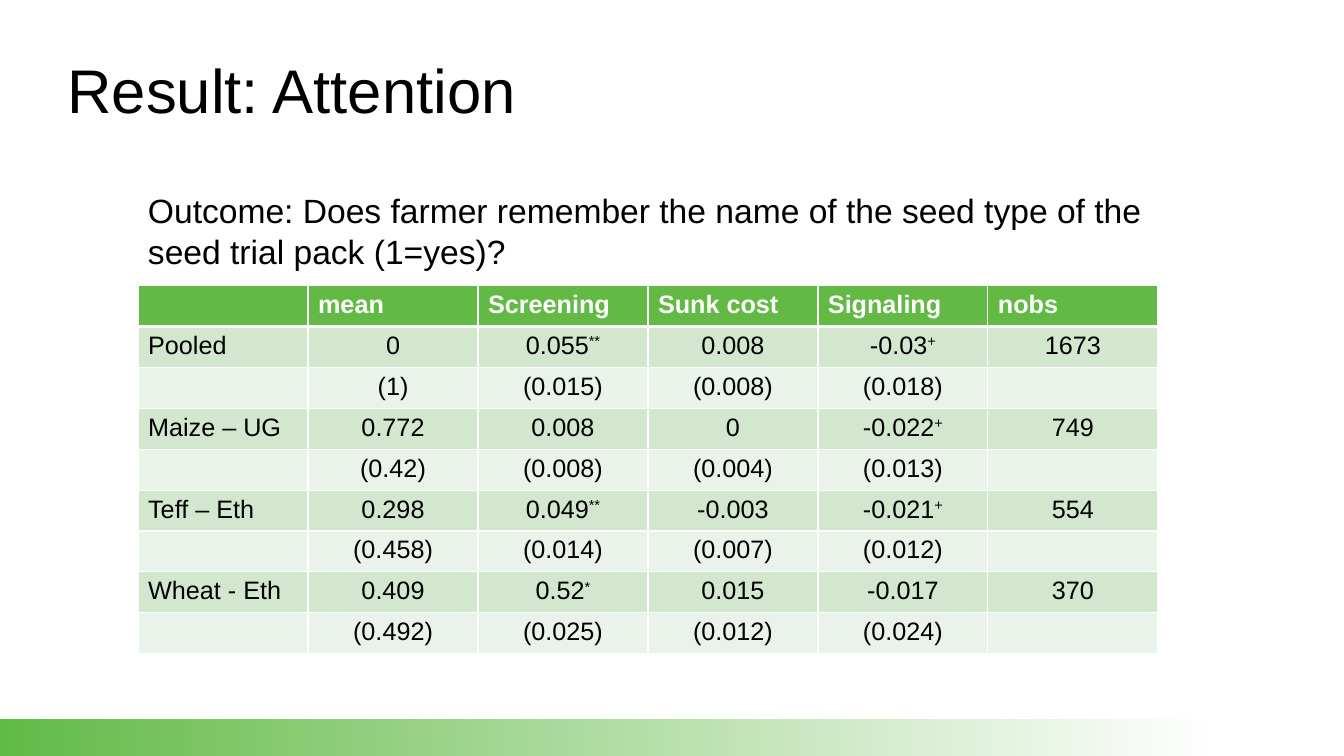
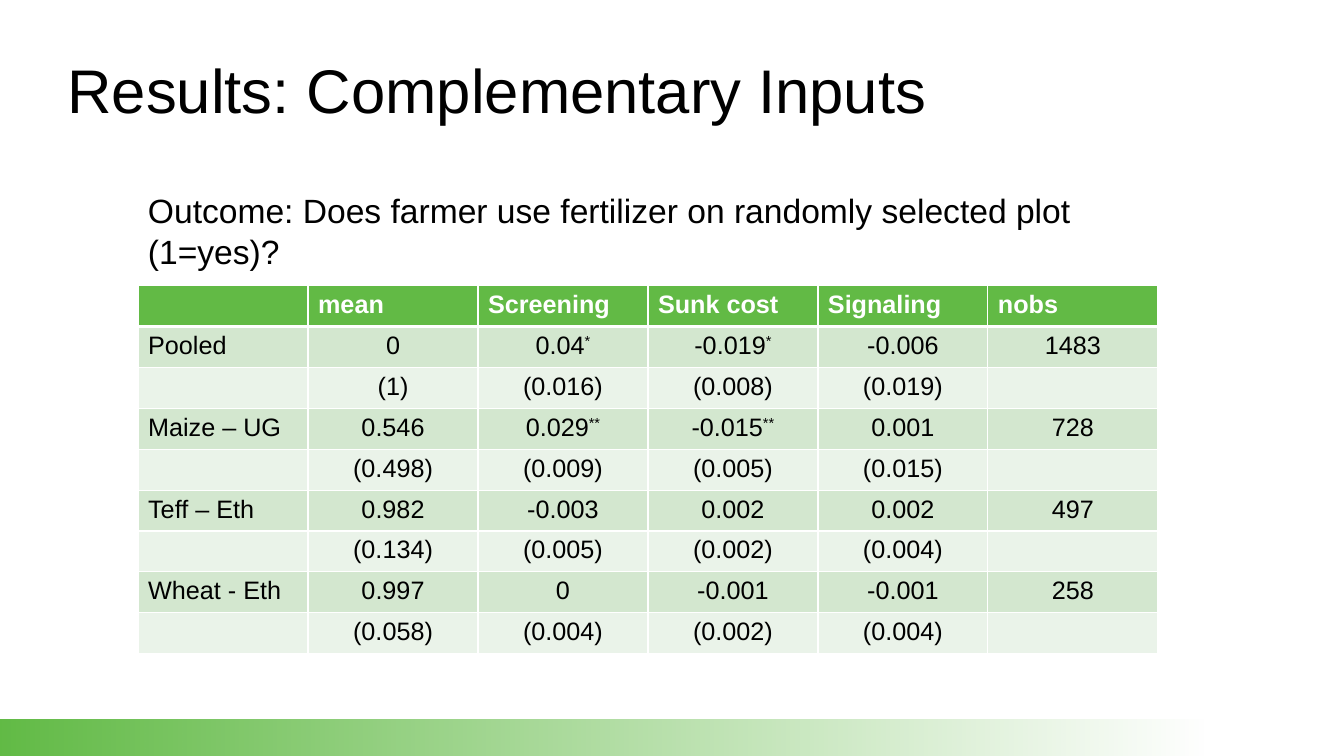
from lxml.etree import SubElement
from pptx import Presentation
from pptx.dml.color import RGBColor
from pptx.enum.shapes import MSO_SHAPE
from pptx.enum.text import MSO_ANCHOR, MSO_AUTO_SIZE, PP_ALIGN
from pptx.oxml.ns import qn
from pptx.util import Cm, Pt

BLACK = RGBColor(0x00, 0x00, 0x00)
WHITE = RGBColor(0xFF, 0xFF, 0xFF)
BAND_GREEN = RGBColor(0x62, 0xBB, 0x46)
HEADER_GREEN = RGBColor(0x62, 0xBA, 0x45)
ESTIMATE_GREEN = RGBColor(0xD3, 0xE7, 0xCF)
ERROR_GREEN = RGBColor(0xEA, 0xF3, 0xE9)
FONT = "Arial"

SLIDE_WIDTH, SLIDE_HEIGHT = Cm(33.87), Cm(19.05)
BAND_BOX = (Cm(0), Cm(18.14), Cm(30.48), Cm(0.91))
TITLE_BOX = (Cm(1.7), Cm(0.76), Cm(30.48), Cm(3.17))
OUTCOME_BOX = (Cm(3.48), Cm(4.67), Cm(26.39), Cm(2.31))
TABLE_BOX = (Cm(3.48), Cm(7.2), Cm(25.7), Cm(9.27))

HEADERS = ["", "mean", "Screening", "Sunk cost", "Signaling", "nobs"]
SIGNIFICANCE_MARKS = "*+"

# Each crop: label, estimates with the number of observations, standard errors
RESULTS = [
    (
        "Result: Attention",
        "Outcome: Does farmer remember the name of the seed type of the seed trial pack (1=yes)?",
        [
            ("Pooled", ["0", "0.055**", "0.008", "-0.03+", "1673"],
             ["(1)", "(0.015)", "(0.008)", "(0.018)"]),
            ("Maize – UG", ["0.772", "0.008", "0", "-0.022+", "749"],
             ["(0.42)", "(0.008)", "(0.004)", "(0.013)"]),
            ("Teff – Eth", ["0.298", "0.049**", "-0.003", "-0.021+", "554"],
             ["(0.458)", "(0.014)", "(0.007)", "(0.012)"]),
            ("Wheat - Eth", ["0.409", "0.52*", "0.015", "-0.017", "370"],
             ["(0.492)", "(0.025)", "(0.012)", "(0.024)"]),
        ],
    ),
    (
        "Results: Complementary Inputs",
        "Outcome: Does farmer use fertilizer on randomly selected plot (1=yes)?",
        [
            ("Pooled", ["0", "0.04*", "-0.019*", "-0.006", "1483"],
             ["(1)", "(0.016)", "(0.008)", "(0.019)"]),
            ("Maize – UG", ["0.546", "0.029**", "-0.015**", "0.001", "728"],
             ["(0.498)", "(0.009)", "(0.005)", "(0.015)"]),
            ("Teff – Eth", ["0.982", "-0.003", "0.002", "0.002", "497"],
             ["(0.134)", "(0.005)", "(0.002)", "(0.004)"]),
            ("Wheat - Eth", ["0.997", "0", "-0.001", "-0.001", "258"],
             ["(0.058)", "(0.004)", "(0.002)", "(0.004)"]),
        ],
    ),
]


def add_run(paragraph, text, size, color=BLACK, bold=False):
    run = paragraph.add_run()
    run.text = text
    run.font.name = FONT
    run.font.size = Pt(size)
    run.font.bold = bold
    run.font.color.rgb = color
    return run


def add_band(slide, box):
    """Add the fading band to the slide's layout, so that every slide shows it."""
    band = slide.shapes.add_shape(MSO_SHAPE.RECTANGLE, *box)
    band.shadow.inherit = False
    band.line.fill.background()
    band.fill.gradient()
    band.fill.gradient_angle = 0
    for stop in band.fill.gradient_stops:
        stop.color.rgb = BAND_GREEN
    faded_color = list(band.element.spPr.iter(qn("a:srgbClr")))[-1]
    SubElement(faded_color, qn("a:alpha"), val="0")
    slide.slide_layout.shapes.element.append(band.element)


def add_title(slide, text, box):
    title = slide.shapes.title
    title.left, title.top, title.width, title.height = box
    frame = title.text_frame
    frame.auto_size = MSO_AUTO_SIZE.NONE
    frame.vertical_anchor = MSO_ANCHOR.MIDDLE
    frame.margin_left = frame.margin_top = frame.margin_right = frame.margin_bottom = 0
    paragraph = frame.paragraphs[0]
    paragraph.alignment = PP_ALIGN.LEFT
    paragraph.line_spacing = 0.9
    add_run(paragraph, text, 44)


def add_outcome(slide, text, box):
    frame = slide.shapes.add_textbox(*box).text_frame
    frame.word_wrap = True
    add_run(frame.paragraphs[0], text, 24)


def set_borders(cell, top, bottom):
    """Draw white borders; top and bottom are widths in points."""
    properties = cell._tc.get_or_add_tcPr()
    for tag, width in (("lnL", 1), ("lnR", 1), ("lnT", top), ("lnB", bottom)):
        line = SubElement(properties, qn(f"a:{tag}"), w=str(Pt(width)))
        fill = SubElement(line, qn("a:solidFill"))
        SubElement(fill, qn("a:srgbClr"), val=str(WHITE))


def fill_cell(cell, text, row, column):
    is_header = row == 0
    set_borders(cell, top=3 if row == 1 else 1, bottom=3 if is_header else 1)
    cell.fill.solid()
    if is_header:
        cell.fill.fore_color.rgb = HEADER_GREEN
    else:
        cell.fill.fore_color.rgb = ESTIMATE_GREEN if row % 2 else ERROR_GREEN
    if not text:
        return
    paragraph = cell.text_frame.paragraphs[0]
    centred = not is_header and column > 0
    paragraph.alignment = PP_ALIGN.CENTER if centred else PP_ALIGN.LEFT
    color = WHITE if is_header else BLACK
    value = text.rstrip(SIGNIFICANCE_MARKS)
    add_run(paragraph, value, 18, color, is_header)
    marks = text[len(value):]
    if marks:
        run = add_run(paragraph, marks, 18, color)
        run._r.get_or_add_rPr().set("baseline", "30000")


def add_results_table(slide, crops, box):
    rows = [HEADERS]
    for label, estimates, errors in crops:
        rows += [[label, *estimates], ["", *errors, ""]]
    table = slide.shapes.add_table(len(rows), len(HEADERS), *box).table
    for row, texts in enumerate(rows):
        for column, text in enumerate(texts):
            fill_cell(table.cell(row, column), text, row, column)


def add_result_slide(presentation, title, outcome, crops):
    title_only = presentation.slide_layouts.get_by_name("Title Only")
    slide = presentation.slides.add_slide(title_only)
    add_title(slide, title, TITLE_BOX)
    add_results_table(slide, crops, TABLE_BOX)
    add_outcome(slide, outcome, OUTCOME_BOX)
    return slide


def main():
    presentation = Presentation()
    presentation.slide_width = SLIDE_WIDTH
    presentation.slide_height = SLIDE_HEIGHT
    slides = [add_result_slide(presentation, *result) for result in RESULTS]
    add_band(slides[0], BAND_BOX)
    presentation.save("out.pptx")


if __name__ == "__main__":
    main()
